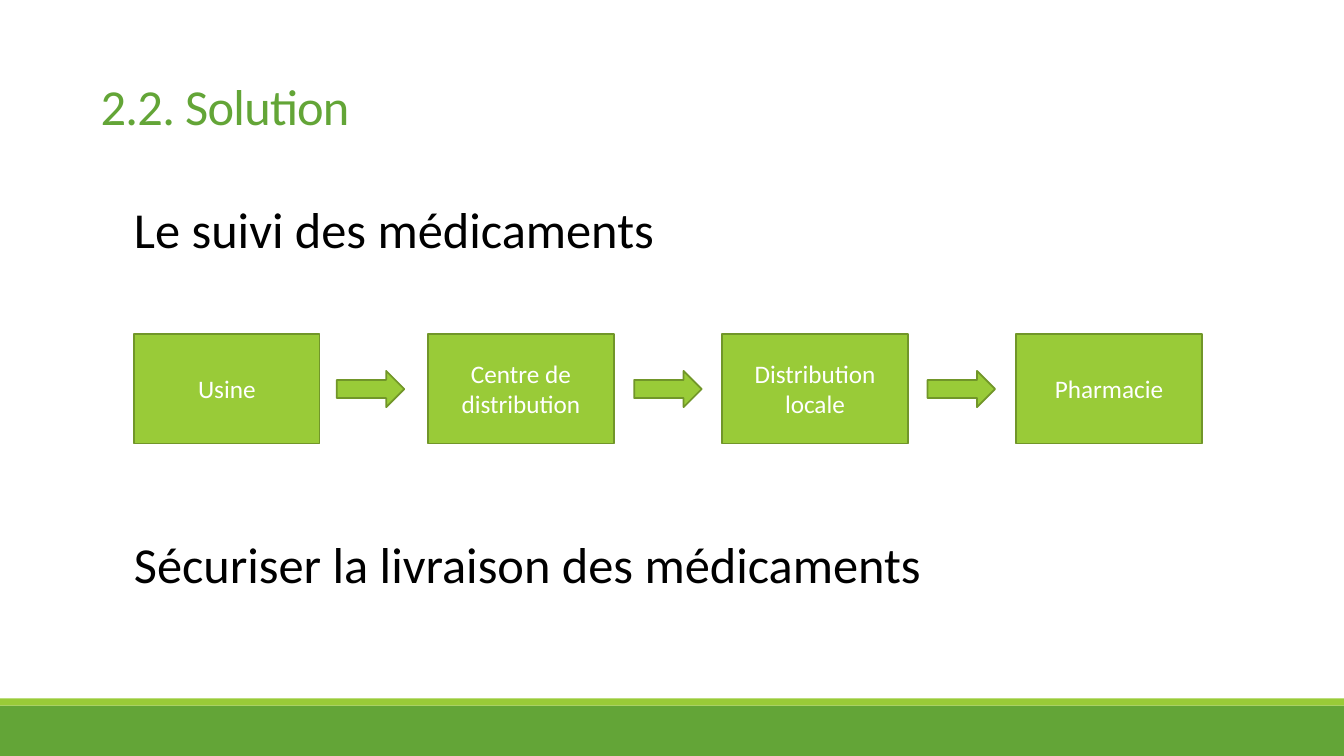
"""Build the slide on tracking medicines from factory to pharmacy."""
from dataclasses import dataclass

from pptx import Presentation
from pptx.dml.color import RGBColor
from pptx.enum.shapes import MSO_SHAPE
from pptx.enum.text import MSO_ANCHOR, PP_ALIGN
from pptx.util import Inches, Pt

RECTANGLE = MSO_SHAPE.RECTANGLE
RIGHT_ARROW = MSO_SHAPE.RIGHT_ARROW
MIDDLE = MSO_ANCHOR.MIDDLE
CENTER = PP_ALIGN.CENTER


@dataclass(frozen=True)
class Theme:
    """Colours, font and sizes of the slide."""

    dark_green: RGBColor = RGBColor(0x63, 0xA5, 0x37)
    light_green: RGBColor = RGBColor(0x99, 0xCB, 0x38)
    outline: RGBColor = RGBColor(0x71, 0x96, 0x29)
    black: RGBColor = RGBColor(0, 0, 0)
    white: RGBColor = RGBColor(255, 255, 255)
    font: str = "Calibri"
    heading_size: float = 36
    step_size: float = 18
    line_width: float = 1.25


THEME = Theme()
STEPS = ("Usine", "Centre de distribution", "Distribution locale", "Pharmacie")
FIRST_STEP_LEFT = 1.33
LAST_STEP_LEFT = 10.08
STEP_PITCH = (LAST_STEP_LEFT - FIRST_STEP_LEFT) / (len(STEPS) - 1)
ARROW_LEFTS = (3.34, 6.29, 9.2)


def add_run(paragraph, text, size, color):
    """Append a styled run and return it."""
    run = paragraph.add_run()
    run.text = text
    run.font.name = THEME.font
    run.font.size = Pt(size)
    run.font.color.rgb = color
    return run


def add_block(slide, kind, box, fill, outlined=True):
    """Add a filled preset shape, with or without an outline."""
    shape = slide.shapes.add_shape(kind, *map(Inches, box))
    shape.shadow.inherit = False
    shape.fill.solid()
    shape.fill.fore_color.rgb = fill
    if outlined:
        shape.line.color.rgb = THEME.outline
        shape.line.width = Pt(THEME.line_width)
    else:
        shape.line.fill.background()
    return shape


def add_step(slide, left, label):
    """Add one labelled step of the supply chain."""
    shape = add_block(slide, RECTANGLE, (left, 3.31, 1.84, 1.09), THEME.light_green)
    frame = shape.text_frame
    frame.word_wrap = True
    frame.vertical_anchor = MIDDLE
    paragraph = frame.paragraphs[0]
    paragraph.alignment = CENTER
    add_run(paragraph, label, THEME.step_size, THEME.white)


def add_heading(slide, box, text, color):
    """Add a large line of text and return its paragraph."""
    frame = slide.shapes.add_textbox(*map(Inches, box)).text_frame
    frame.word_wrap = True
    paragraph = frame.paragraphs[0]
    add_run(paragraph, text, THEME.heading_size, color)
    return paragraph


def add_title(slide, text):
    """Add the slightly condensed slide title."""
    paragraph = add_heading(slide, (0.9, 0.79, 3.96, 0.75), text, THEME.dark_green)
    paragraph.line_spacing = 0.85
    paragraph.runs[0].font._element.set("spc", "-50")


def main():
    """Build and save the slide."""
    presentation = Presentation()
    presentation.slide_width = Inches(13.33)
    presentation.slide_height = Inches(7.5)
    slide = presentation.slides.add_slide(presentation.slide_layouts[6])

    add_block(slide, RECTANGLE, (0, 7, 13.33, 0.5), THEME.dark_green, outlined=False)
    add_block(slide, RECTANGLE, (0, 6.93, 13.33, 0.07), THEME.light_green, outlined=False)
    add_title(slide, "2.2. Solution")
    add_heading(slide, (1.23, 1.92, 6.52, 0.71), "Le suivi des médicaments", THEME.black)
    for index, label in enumerate(STEPS):
        add_step(slide, FIRST_STEP_LEFT + index * STEP_PITCH, label)
    for left in ARROW_LEFTS:
        add_block(slide, RIGHT_ARROW, (left, 3.68, 0.67, 0.36), THEME.light_green)
    add_heading(slide, (1.23, 5.24, 8.36, 0.71), "Sécuriser la livraison des médicaments", THEME.black)

    presentation.save("out.pptx")


if __name__ == "__main__":
    main()
